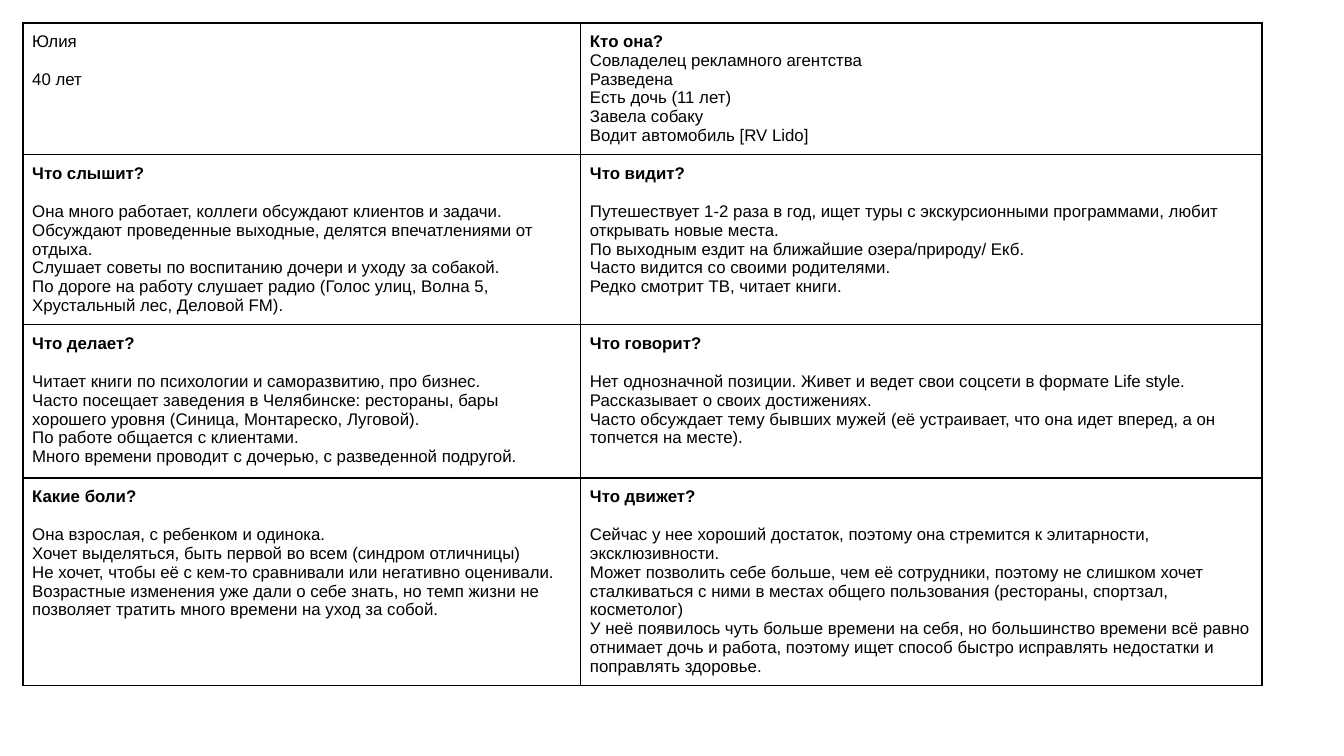
from dataclasses import dataclass

from lxml.etree import SubElement
from pptx import Presentation
from pptx.dml.color import RGBColor as RGB
from pptx.oxml.ns import qn
from pptx.util import Inches, Pt


@dataclass(frozen=True)
class Theme:
    font: str = "Arial"
    text_size: float = 9
    heading_gap: float = 10.35  # one line of text
    ink: str = "000000"
    border_width: float = 1
    cell_margin: float = 0.07


THEME = Theme()
SLIDE_WIDTH = 10
SLIDE_HEIGHT = SLIDE_WIDTH * 9 / 16
TABLE_ORIGIN = 0.17
COLUMN_WIDTHS = (4.15, 5.07)
ROW_HEIGHTS = (0.97, 1.16, 1.14, 0.87)


@dataclass(frozen=True)
class Card:
    heading: str
    lines: tuple
    bold: bool = True
    gap: bool = True


PERSONA = (
    (
        Card("Юлия", ("40 лет",), bold=False),
        Card("Кто она?", (
            "Совладелец рекламного агентства",
            "Разведена",
            "Есть дочь (11 лет)",
            "Завела собаку",
            "Водит автомобиль [RV Lido]",
        ), gap=False),
    ),
    (
        Card("Что слышит?", (
            "Она много работает, коллеги обсуждают клиентов и задачи.",
            "Обсуждают проведенные выходные, делятся впечатлениями от отдыха.",
            "Слушает советы по воспитанию дочери и уходу за собакой.",
            "По дороге на работу слушает радио (Голос улиц, Волна 5, "
            "Хрустальный лес, Деловой FM).",
        )),
        Card("Что видит?", (
            "Путешествует 1-2 раза в год, ищет туры с экскурсионными "
            "программами, любит открывать новые места.",
            "По выходным ездит на ближайшие озера/природу/ Екб.",
            "Часто видится со своими родителями.",
            "Редко смотрит ТВ, читает книги.",
        )),
    ),
    (
        Card("Что делает?", (
            "Читает книги по психологии и саморазвитию, про бизнес.",
            "Часто посещает заведения в Челябинске: рестораны, бары "
            "хорошего уровня (Синица, Монтареско, Луговой).",
            "По работе общается с клиентами.",
            "Много времени проводит с дочерью, с разведенной подругой.",
        )),
        Card("Что говорит?", (
            "Нет однозначной позиции. Живет и ведет свои соцсети в формате "
            "Life style.",
            "Рассказывает о своих достижениях.",
            "Часто обсуждает тему бывших мужей (её устраивает, что она идет "
            "вперед, а он топчется на месте).",
        )),
    ),
    (
        Card("Какие боли?", (
            "Она взрослая, с ребенком и одинока.",
            "Хочет выделяться, быть первой во всем (синдром отличницы)",
            "Не хочет, чтобы её с кем-то сравнивали или негативно оценивали.",
            "Возрастные изменения уже дали о себе знать, но темп жизни не "
            "позволяет тратить много времени на уход за собой.",
        )),
        Card("Что движет?", (
            "Сейчас у нее хороший достаток, поэтому она стремится к "
            "элитарности, эксклюзивности.",
            "Может позволить себе больше, чем её сотрудники, поэтому не "
            "слишком хочет сталкиваться с ними в местах общего пользования "
            "(рестораны, спортзал, косметолог)",
            "У неё появилось чуть больше времени на себя, но большинство "
            "времени всё равно отнимает дочь и работа, поэтому ищет способ "
            "быстро исправлять недостатки и поправлять здоровье.",
        )),
    ),
)


def add_borders(cell):
    properties = cell._tc.get_or_add_tcPr()
    for side in ("a:lnL", "a:lnR", "a:lnT", "a:lnB"):
        line = SubElement(properties, qn(side), w=str(Pt(THEME.border_width)))
        fill = SubElement(line, qn("a:solidFill"))
        SubElement(fill, qn("a:srgbClr"), val=THEME.ink)


def write_card(cell, card):
    """Fill a cell with a heading and the lines below it."""
    frame = cell.text_frame
    frame.text = "\n".join((card.heading, *card.lines))
    for index, paragraph in enumerate(frame.paragraphs):
        font = paragraph.runs[0].font
        font.name = THEME.font
        font.size = Pt(THEME.text_size)
        font.color.rgb = RGB.from_string(THEME.ink)
        font.bold = card.bold and index == 0
    if card.gap:
        frame.paragraphs[1].space_before = Pt(THEME.heading_gap)


def style_cell(cell):
    margin = Inches(THEME.cell_margin)
    cell.margin_left = cell.margin_right = margin
    cell.margin_top = cell.margin_bottom = margin
    add_borders(cell)
    cell.fill.background()


def add_persona_table(slide):
    origin = Inches(TABLE_ORIGIN)
    table = slide.shapes.add_table(
        len(ROW_HEIGHTS), len(COLUMN_WIDTHS), origin, origin,
        Inches(sum(COLUMN_WIDTHS)), Inches(sum(ROW_HEIGHTS)),
    ).table
    table.first_row = table.horz_banding = False
    for column, width in zip(table.columns, COLUMN_WIDTHS):
        column.width = Inches(width)
    for row, height, cards in zip(table.rows, ROW_HEIGHTS, PERSONA):
        row.height = Inches(height)
        for cell, card in zip(row.cells, cards):
            style_cell(cell)
            write_card(cell, card)


def main():
    presentation = Presentation()
    presentation.slide_width = Inches(SLIDE_WIDTH)
    presentation.slide_height = Inches(SLIDE_HEIGHT)
    slide = presentation.slides.add_slide(presentation.slide_layouts[6])
    add_persona_table(slide)
    presentation.save("out.pptx")


if __name__ == "__main__":
    main()
